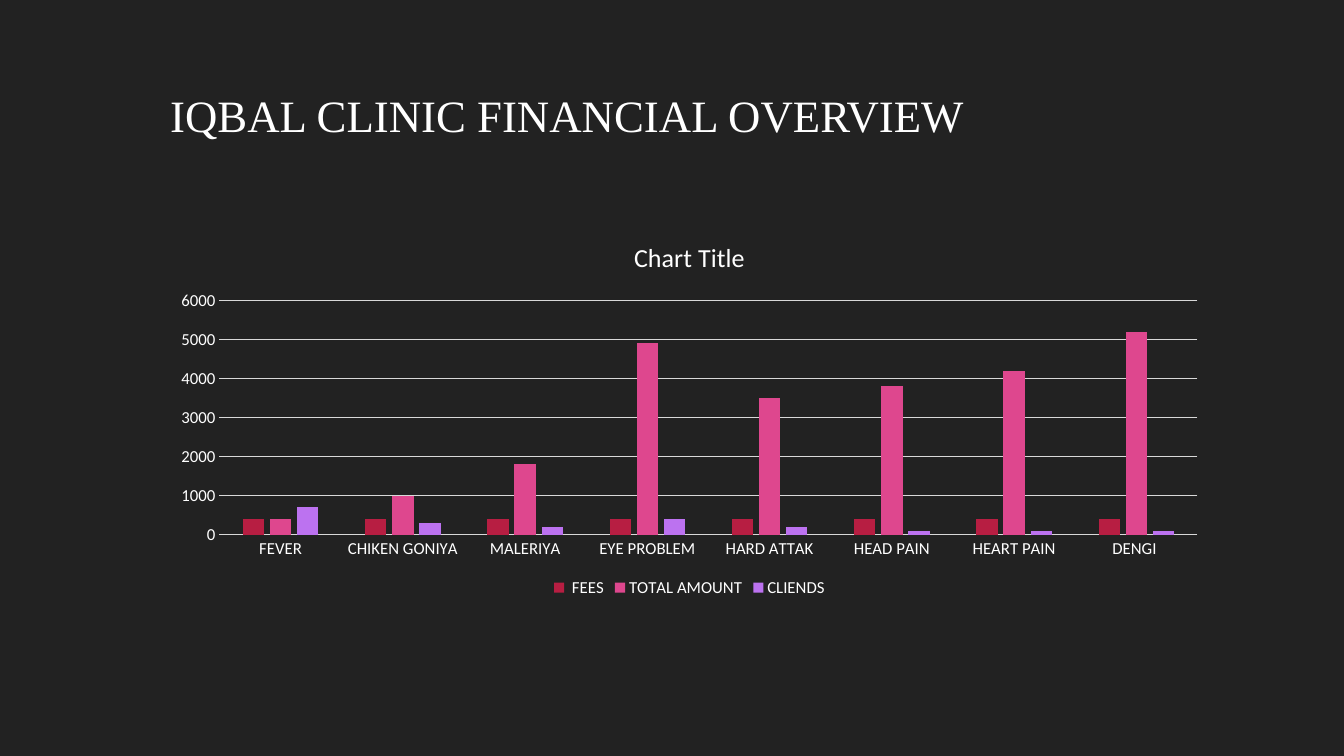
from pptx import Presentation
from pptx.chart.data import CategoryChartData
from pptx.dml.color import RGBColor
from pptx.enum.chart import XL_CHART_TYPE, XL_LEGEND_POSITION, XL_TICK_MARK
from pptx.enum.text import MSO_ANCHOR
from pptx.util import Pt


def paint(fill, color):
    fill.solid()
    fill.fore_color.rgb = RGBColor.from_string(color)


def style(font, size, name="Calibri"):
    """Set a white font of the given size and name."""
    for key, value in {"size": Pt(size), "name": name, "bold": False}.items():
        setattr(font, key, value)
    paint(font.fill, "FFFFFF")


deck = Presentation()
deck.slide_width, deck.slide_height = Pt(960), Pt(540)
slide = deck.slides.add_slide(deck.slide_layouts[6])
paint(slide.background.fill, "222222")

# Heading
left, width = Pt(114.5), Pt(756)
frame = slide.shapes.add_textbox(left, Pt(63.4), width, Pt(82.8)).text_frame
frame.word_wrap = True
frame.vertical_anchor = MSO_ANCHOR.TOP
head = frame.paragraphs[0]
head.line_spacing = 0.9
run = head.add_run()
run.text = "IQBAL CLINIC FINANCIAL OVERVIEW"
style(run.font, 32, "Times New Roman")

# Chart
series = [
    (" FEES", "B71E42", [400] * 8),
    ("TOTAL AMOUNT", "DE478E", [400, 1000, 1800, 4900, 3500, 3800, 4200, 5200]),
    ("CLIENDS", "BC72F0", [700, 300, 200, 400, 200, 100, 100, 100]),
]
data = CategoryChartData()
data.categories = ["FEVER", "CHIKEN GONIYA", "MALERIYA", "EYE PROBLEM",
                   "HARD ATTAK", "HEAD PAIN", "HEART PAIN", "DENGI "]
for name, color, values in series:
    data.add_series(name, values)
chart = slide.shapes.add_chart(XL_CHART_TYPE.COLUMN_CLUSTERED, left, Pt(158.4),
                               width, Pt(271.4), data).chart
style(chart.font, 12)

chart.has_title = True
title = chart.chart_title.text_frame.paragraphs[0].add_run()
title.text = "Chart Title"
style(title.font, 18.6)

plot = chart.plots[0]
for key, value in {"gap_width": 219, "overlap": -27, "vary_by_categories": False}.items():
    setattr(plot, key, value)
for bars, (name, color, values) in zip(plot.series, series):
    paint(bars.format.fill, color)
    bars.invert_if_negative = False

# Axes and legend
amounts, ills = chart.value_axis, chart.category_axis
for axis in (amounts, ills):
    axis.major_tick_mark = axis.minor_tick_mark = XL_TICK_MARK.NONE
    style(axis.tick_labels.font, 12)
for key, value in {"minimum_scale": 0, "maximum_scale": 6000, "major_unit": 1000,
                   "has_major_gridlines": True}.items():
    setattr(amounts, key, value)
amounts.format.line.fill.background()
for line in (ills.format.line, amounts.major_gridlines.format.line):
    paint(line.fill, "D9D9D9")
    line.width = Pt(0.75)

chart.has_legend = True
for key, value in {"position": XL_LEGEND_POSITION.BOTTOM, "include_in_layout": False}.items():
    setattr(chart.legend, key, value)
style(chart.legend.font, 12)

deck.save("out.pptx")
